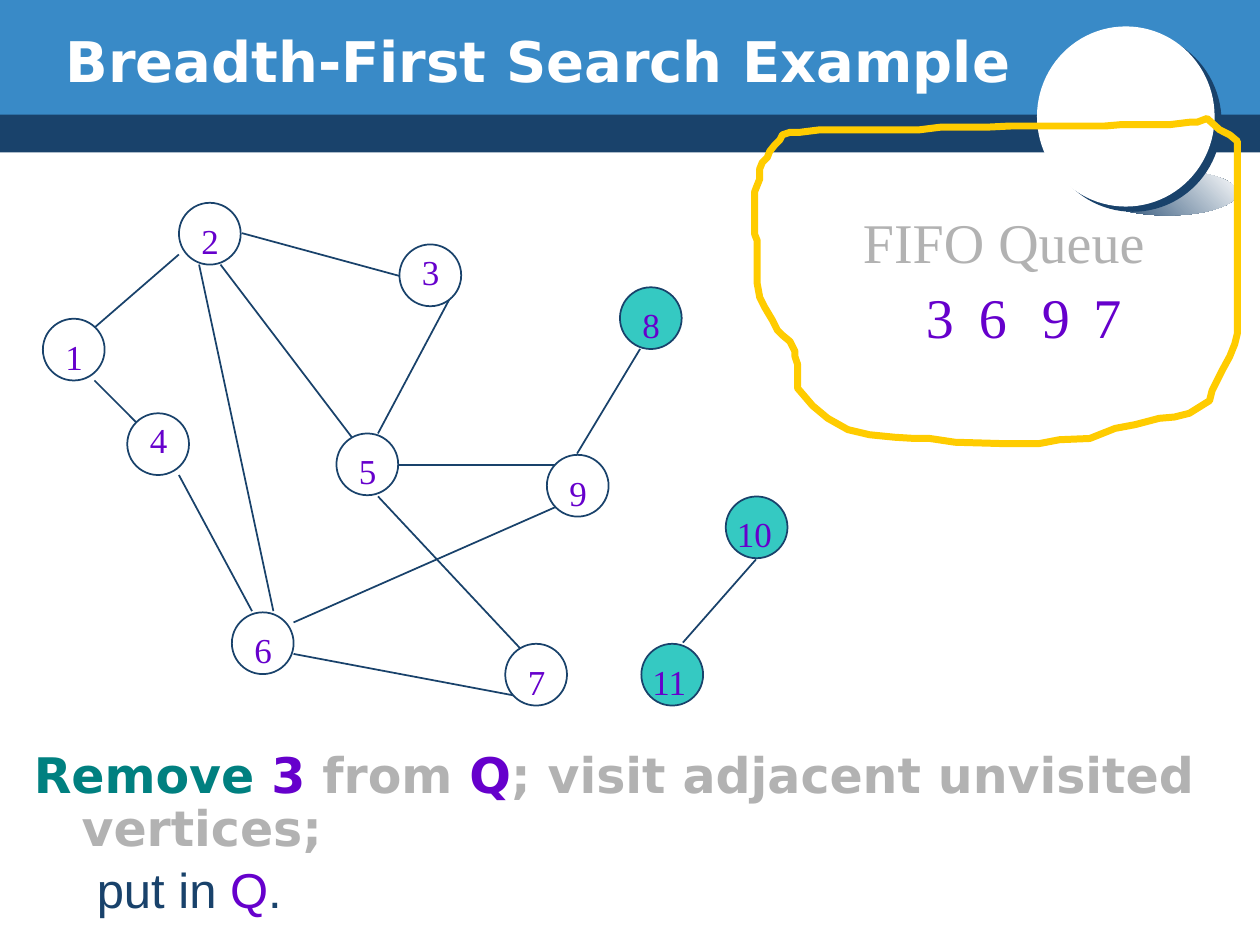
from typing import NamedTuple

from lxml.etree import SubElement
from pptx import Presentation
from pptx.dml.color import RGBColor
from pptx.enum.shapes import MSO_CONNECTOR, MSO_SHAPE
from pptx.enum.text import MSO_ANCHOR
from pptx.oxml.ns import qn
from pptx.util import Inches, Pt

NAVY = RGBColor(0x19, 0x42, 0x6B)
BLUE = RGBColor(0x39, 0x8A, 0xC7)
WHITE = RGBColor(0xFF, 0xFF, 0xFF)
TEAL = RGBColor(0x35, 0xC9, 0xC2)
DARK_TEAL = RGBColor(0x00, 0x80, 0x80)
PURPLE = RGBColor(0x66, 0x00, 0xCC)
GRAY = RGBColor(0xB2, 0xB2, 0xB2)
YELLOW = RGBColor(0xFF, 0xCC, 0x00)

SANS, ARIAL, SERIF = "DejaVu Sans", "Arial", "Times New Roman"
NODE_SIZE = 0.49


class Node(NamedTuple):
    label: str
    left: float
    top: float
    color: RGBColor = WHITE
    label_dx: float = 0.08
    label_dy: float = 0.08
    label_width: float = 0.25


class Edge(NamedTuple):
    x1: float
    y1: float
    x2: float
    y2: float


class Run(NamedTuple):
    text: str
    color: RGBColor


NODES = [
    Node("8", 4.92, 2.28, TEAL),
    Node("10", 5.76, 3.94, TEAL, label_dx=-0.01, label_width=0.5),
    Node("11", 5.09, 5.11, TEAL, label_dx=-0.01, label_width=0.83),
    Node("1", 0.34, 2.53),
    Node("2", 1.42, 1.61),
    Node("4", 1.01, 3.28, label_dy=-0.01),
    Node("5", 2.67, 3.44),
    Node("3", 3.17, 1.94, label_dy=0),
    Node("6", 1.84, 4.86),
    Node("9", 4.34, 3.61),
    Node("7", 4.01, 5.11),
]

EDGES = [
    Edge(1.42, 2.02, 0.75, 2.6),   # 2-1
    Edge(1.75, 2.1, 2.83, 3.52),   # 2-5
    Edge(0.75, 3.02, 1.08, 3.35),  # 1-4
    Edge(1.42, 3.77, 2, 4.85),     # 4-6
    Edge(2.33, 5.19, 4.08, 5.52),  # 6-7
    Edge(3.58, 2.35, 3, 3.44),     # 3-5
    Edge(3, 3.94, 4.17, 5.19),     # 5-7
    Edge(5.08, 2.77, 4.58, 3.6),   # 8-9
    Edge(5.42, 5.1, 6, 4.44),      # 11-10
    Edge(3.17, 3.69, 4.42, 3.69),  # 5-9
    Edge(1.92, 1.85, 3.17, 2.19),  # 2-3
    Edge(1.58, 2.1, 2.17, 4.85),   # 2-6
    Edge(2.33, 4.94, 4.42, 4.02),  # 6-9
]

QUEUE = [("3", 7.25), ("6", 7.67), ("9", 8.17), ("7", 8.58)]

QUEUE_OUTLINE = [
    (9.58, 0.94), (9.5, 0.97), (9.44, 0.97), (9.28, 0.99), (8.89, 0.99),
    (8.77, 1), (8.02, 1), (7.82, 1.01), (7.46, 1.01), (7.3, 1.03),
    (6.51, 1.03), (6.35, 1.05), (6.27, 1.05), (6.21, 1.07), (6.19, 1.11),
    (6.15, 1.15), (6.11, 1.2), (6.09, 1.25), (6.05, 1.29), (6.03, 1.34),
    (6.03, 1.42), (5.99, 1.52), (5.99, 1.86), (6.01, 1.91), (6.01, 2.25),
    (6.03, 2.36), (6.07, 2.44), (6.13, 2.54), (6.17, 2.62), (6.21, 2.66),
    (6.27, 2.71), (6.31, 2.79), (6.31, 2.83), (6.33, 2.89), (6.33, 3.08),
    (6.45, 3.22), (6.57, 3.32), (6.73, 3.41), (6.9, 3.45), (7.1, 3.47),
    (7.26, 3.48), (7.38, 3.48), (7.58, 3.51), (7.94, 3.52), (8.25, 3.52),
    (8.41, 3.49), (8.65, 3.48), (8.85, 3.4), (9.01, 3.37), (9.2, 3.32),
    (9.32, 3.31), (9.44, 3.28), (9.6, 3.18), (9.62, 3.1), (9.66, 3.02),
    (9.7, 2.94), (9.76, 2.83), (9.8, 2.73), (9.82, 2.65), (9.82, 1.12),
    (9.76, 1.07), (9.68, 1.03),
]


def add_block(shapes, kind, left: float, top: float, width: float, height: float,
              color: RGBColor, line: RGBColor | None = None):
    block = shapes.add_shape(kind, Inches(left), Inches(top), Inches(width), Inches(height))
    block.shadow.inherit = False
    block.fill.solid()
    block.fill.fore_color.rgb = color
    if line is None:
        block.line.fill.background()
    else:
        block.line.color.rgb = line
        block.line.width = Pt(1)
    return block


def write_runs(paragraph, runs: list[Run], *, size: float, font: str, bold: bool = False) -> None:
    for text, color in runs:
        run = paragraph.add_run()
        run.text = text
        run.font.size = Pt(size)
        run.font.name = font
        run.font.bold = bold
        run.font.color.rgb = color


def add_text(shapes, text: str | list[Run], left: float, top: float, width: float, height: float,
             *, size: float, font: str = SERIF, color: RGBColor = PURPLE,
             bold: bool = False, anchor=MSO_ANCHOR.TOP):
    frame = shapes.add_textbox(Inches(left), Inches(top), Inches(width), Inches(height)).text_frame
    frame.word_wrap = True
    frame.vertical_anchor = anchor
    runs = [Run(text, color)] if isinstance(text, str) else text
    write_runs(frame.paragraphs[0], runs, size=size, font=font, bold=bold)
    return frame


def format_step(paragraph, margin: float, indent: float) -> None:
    paragraph.line_spacing = 0.9
    paragraph.space_before = Pt(5.6)
    properties = paragraph._p.get_or_add_pPr()
    properties.set("marL", str(Inches(margin)))
    properties.set("indent", str(Inches(indent)))


def add_edge(shapes, edge: Edge) -> None:
    line = shapes.add_connector(MSO_CONNECTOR.STRAIGHT, *(Inches(value) for value in edge))
    line.line.color.rgb = NAVY
    line.line.width = Pt(1)
    SubElement(line._element.spPr, qn("a:effectLst"))


def add_node(shapes, node: Node) -> None:
    members = shapes.add_group_shape().shapes
    add_block(members, MSO_SHAPE.OVAL, node.left, node.top, NODE_SIZE, NODE_SIZE, node.color, NAVY)
    add_text(members, node.label, node.left + node.label_dx, node.top + node.label_dy,
             node.label_width, 0.43, size=20)


def add_header(shapes) -> None:
    add_block(shapes, MSO_SHAPE.RECTANGLE, 0, 0.87, 10, 0.34, NAVY)
    add_block(shapes, MSO_SHAPE.RECTANGLE, 0, 0, 10, 0.91, BLUE)

    # Ball with its cast shadow
    ball = shapes.add_group_shape().shapes
    cast = add_block(ball, MSO_SHAPE.OVAL, 8.71, 1.35, 1.11, 0.36, NAVY)
    cast.fill.gradient()
    cast.fill.gradient_angle = 45
    for stop, color in zip(cast.fill.gradient_stops, (NAVY, WHITE)):
        stop.color.rgb = color
    disc = add_block(ball, MSO_SHAPE.OVAL, 8.23, 0.21, 1.41, 1.43, WHITE)
    effects = disc._element.spPr.find(qn("a:effectLst"))
    shadow = SubElement(effects, qn("a:outerShdw"), blurRad="0", dist=str(Pt(5)),
                        dir=str(37 * 60000), algn="ctr", rotWithShape="0")
    SubElement(shadow, qn("a:srgbClr"), val=str(NAVY))
    add_block(ball, MSO_SHAPE.OVAL, 8.7, 0.71, 0.5, 0.49, WHITE)

    add_text(shapes, "Breadth-First Search Example", 0.42, 0.17, 8.08, 0.62, size=32,
             font=SANS, color=WHITE, bold=True, anchor=MSO_ANCHOR.MIDDLE)


def add_queue(shapes) -> None:
    add_text(shapes, "FIFO Queue", 6.75, 1.6, 3.08, 1.43, size=32, color=GRAY)
    start, *rest = [(Inches(x), Inches(y)) for x, y in QUEUE_OUTLINE]
    builder = shapes.build_freeform(*start)
    builder.add_line_segments(rest, close=True)
    outline = builder.convert_to_shape()
    outline.shadow.inherit = False
    outline.fill.background()
    outline.line.color.rgb = YELLOW
    outline.line.width = Pt(4)
    for label, left in QUEUE:
        add_text(shapes, label, left, 2.19, 0.42, 0.63, size=32)


def add_step(shapes) -> None:
    removal = [Run("Remove ", DARK_TEAL), Run("3", PURPLE), Run(" from ", GRAY),
               Run("Q", PURPLE), Run("; visit adjacent unvisited vertices;", GRAY)]
    frame = add_text(shapes, removal, 0.17, 5.91, 9.83, 0.78, size=28, font=SANS, bold=True)
    format_step(frame.paragraphs[0], 0.38, -0.38)
    insertion = frame.add_paragraph()
    write_runs(insertion, [Run("put in ", NAVY), Run("Q", PURPLE), Run(".", NAVY)],
               size=28, font=ARIAL)
    format_step(insertion, 0.81, -0.31)


def main() -> None:
    deck = Presentation()
    deck.slide_width, deck.slide_height = Inches(10), Inches(7.5)
    shapes = deck.slides.add_slide(deck.slide_layouts[6]).shapes
    add_header(shapes)
    add_step(shapes)
    for edge in EDGES:
        add_edge(shapes, edge)
    for node in NODES:
        add_node(shapes, node)
    add_queue(shapes)
    deck.save("out.pptx")


if __name__ == "__main__":
    main()
